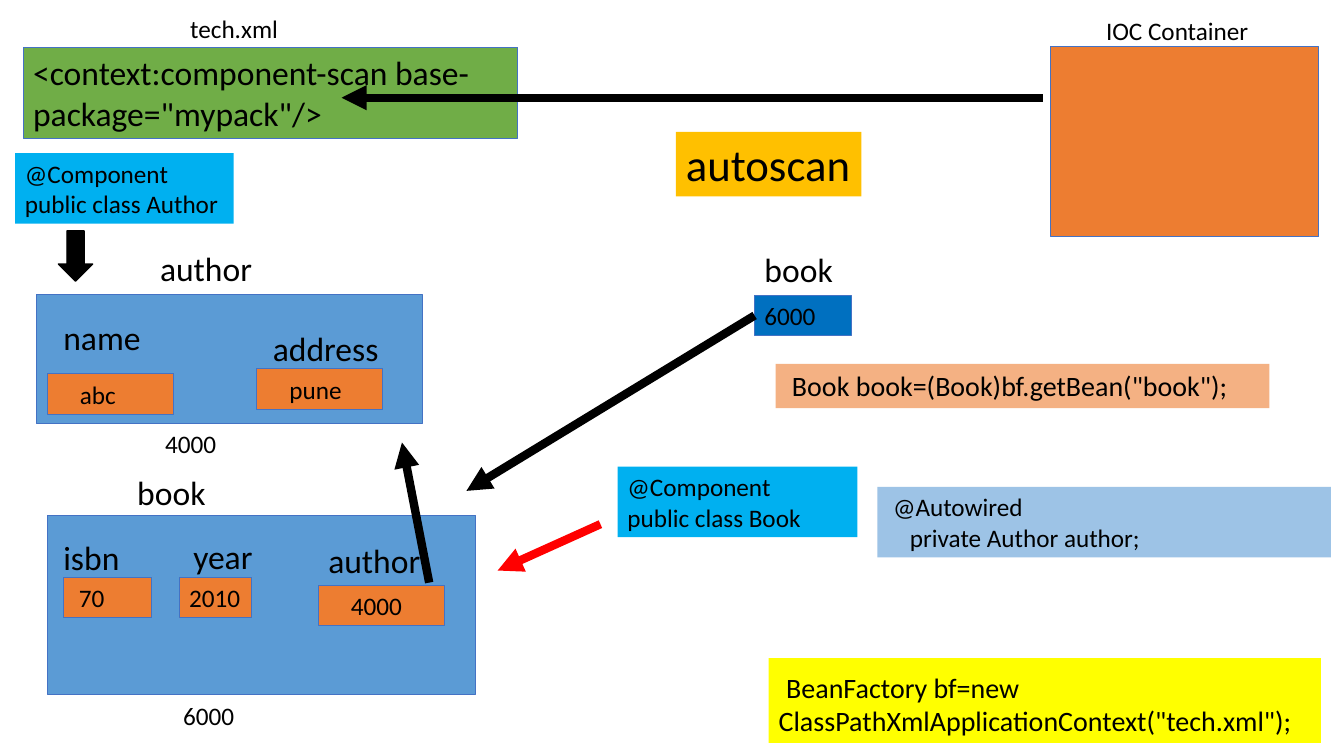
from pptx import Presentation
from pptx.dml.color import RGBColor as RGB
from pptx.enum.shapes import MSO_CONNECTOR as LINK, MSO_SHAPE as SHAPE
from pptx.enum.text import MSO_ANCHOR as ANCHOR, MSO_AUTO_SIZE as FIT, PP_ALIGN as ALIGN
from pptx.oxml.ns import qn
from pptx.oxml.xmlchemy import OxmlElement as Node
from pptx.util import Inches, Pt

WIDE, HIGH = 133.4, 75
GAP = 0.56
BLACK, EDGE = "000000", "4472C4"
BLUE, ORANGE, SKY = "5B9BD5", "ED7D31", "00B0F0"


def grid(*cells):
    return [Inches(cell / 10) for cell in cells]


def tint(code):
    return RGB.from_string(code)


def apply(thing, form):
    for key, value in form.items():
        setattr(thing, key, value)


class Board:
    """Draws styled boxes, labels and arrows on one slide, in tenth-inch columns and rows."""

    frame = {"word_wrap": True, "auto_size": FIT.SHAPE_TO_FIT_TEXT, "vertical_anchor": ANCHOR.TOP}
    font = {"name": "Calibri"}

    def __init__(self, deck):
        self.slide = deck.slides.add_slide(deck.slide_layouts[6])
        self.shapes = self.slide.shapes

    def letter(self, shape, text, size, pads=()):
        frame = shape.text_frame
        apply(frame, self.frame)
        for spot, line in enumerate(text.split("\n")):
            para = frame.add_paragraph() if spot else frame.paragraphs[0]
            para.alignment = ALIGN.LEFT
            if spot < len(pads):
                para._p.get_or_add_pPr().set("indent", str(grid(pads[spot])[0]))
            run = para.add_run()
            run.text = line
            apply(run.font, {**self.font, "size": Pt(size)})
            run.font.color.rgb = tint(BLACK)

    def box(self, place, fill, edge=None, text="", size=18, pads=(), kind=SHAPE.RECTANGLE, width=0.75):
        shape = self.shapes.add_shape(kind, *grid(*place))
        shape.shadow.inherit = False
        shape.fill.solid()
        shape.fill.fore_color.rgb = tint(fill)
        if edge:
            shape.line.color.rgb = tint(edge)
            shape.line.width = Pt(width)
        else:
            shape.line.fill.background()
        if text:
            self.letter(shape, text, size, pads)
        return shape

    def label(self, place, text, size, pads=()):
        high = 4 if size == 18 else 5
        self.letter(self.shapes.add_textbox(*grid(*place, high)), text, size, pads)

    def arrow(self, start, end, color=BLACK):
        link = self.shapes.add_connector(LINK.STRAIGHT, *grid(*start, *end))
        link.line.color.rgb = tint(color)
        link.line.width = Pt(6)
        head = Node("a:tailEnd")
        head.set("type", "triangle")
        props = link._element.spPr
        props.find(qn("a:ln")).append(head)
        props.append(Node("a:effectLst"))
        return link


def main():
    deck = Presentation()
    deck.slide_width, deck.slide_height = grid(WIDE, HIGH)
    board = Board(deck)

    for place, fill in (
        ((4.7, 51.1, 42.5, 17.8), BLUE),
        ((3.6, 29.2, 38.3, 12.8), BLUE),
        ((104.3, 4.6, 26.6, 18.9), ORANGE),
    ):
        board.box(place, fill, EDGE)

    board.box((2.3, 4.7, 49.1, 9), "70AD47", EDGE,
              '<context:component-scan base-package="mypack"/>', 24)
    root = board.box((74.9, 29.3, 9.6, 4), "0070C0", EDGE, "6000")

    for left, top, wide, text, spaces in (
        (31.6, 58.1, 12.5, "4000", 4),
        (6.3, 57.3, 8.7, "70", 1),
        (17.8, 57.3, 7.2, "2010", 0),
        (4.7, 37.1, 12.5, "abc", 4),
        (25.5, 36.6, 12.5, "pune", 4),
    ):
        board.box((left, top, wide, 4), ORANGE, EDGE, text, pads=(spaces * GAP,))

    for place, fill, text, size, pads in (
        ((1.5, 15.2, 21.7, 7), SKY, "@Component\npublic class Author", 18, ()),
        ((61.3, 46.3, 23.8, 7), SKY, "@Component\npublic class Book", 18, ()),
        ((87.1, 48.3, 45, 7), "9DC3E6", "@Autowired\nprivate Author author;", 18, (GAP, 4 * GAP)),
        ((77, 36.1, 49, 4.4), "F4B183", 'Book book=(Book)bf.getBean("book");', 20, (0.63,)),
        ((67.1, 13.1, 18.4, 6.4), "FFC000", "autoscan", 32, ()),
    ):
        board.box(place, fill, None, text, size, pads)

    setup = board.box((76.3, 65.3, 54.8, 8.4), "FFFF00", None,
                      'BeanFactory bf=new ClassPathXmlApplicationContext("tech.xml");', 20, (0.75,))
    setup.text_frame.margin_top = Inches(0.12)

    for left, top, wide, text, size in (
        (17.9, 0.8, 17.7, "tech.xml", 18),
        (108.8, 1, 17.7, "IOC Container", 18),
        (15.4, 42, 7.6, "4000", 18),
        (17.2, 69, 7.6, "6000", 18),
        (14.9, 24.1, 11.5, "author", 24),
        (74.9, 24.2, 9.6, "book", 24),
        (31.6, 53.1, 12.5, "author", 24),
        (18.2, 52.7, 8.2, "year", 24),
        (5.3, 52.8, 12.5, "isbn", 24),
        (5.3, 30.9, 12.5, "name", 24),
        (26.1, 32, 13.8, "address", 24),
    ):
        board.label((left, top, wide), text, size)
    board.label((10.4, 46.3, 15.7), "book", 24, (4 * GAP,))

    board.arrow((74.9, 31.3), (46.3, 48.7)).begin_connect(root, 1)
    board.arrow((103.5, 9.7), (33.9, 9.7))
    board.arrow((59.6, 52), (49.4, 56.6), "FF0000")
    board.arrow((42.6, 57.8), (39.9, 43.9))
    board.box((5.8, 22.9, 3.4, 5), BLACK, BLACK, kind=SHAPE.DOWN_ARROW, width=1)

    deck.save("out.pptx")


if __name__ == "__main__":
    main()
